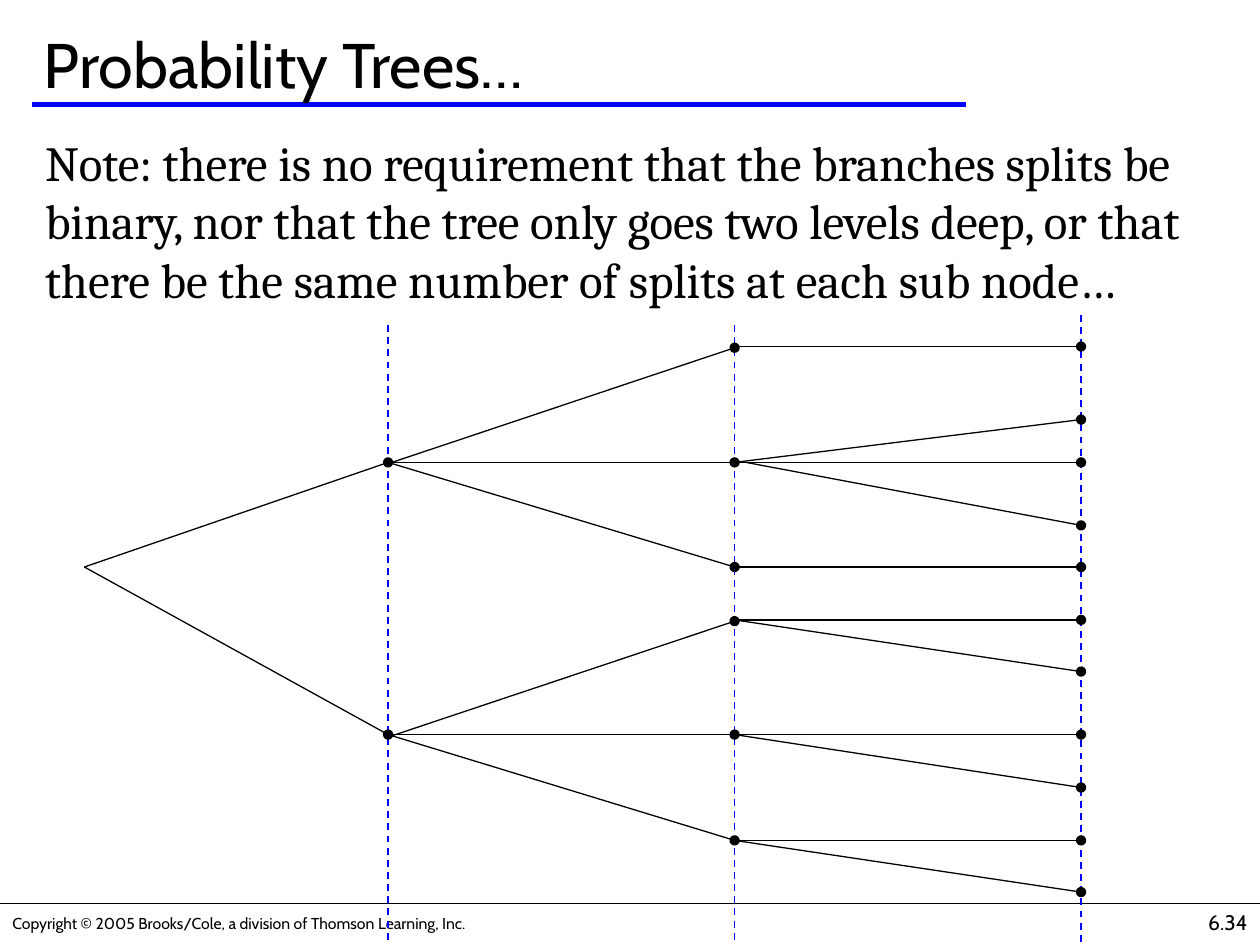
from lxml import etree
from pptx import Presentation
from pptx.dml.color import RGBColor
from pptx.enum.dml import MSO_LINE
from pptx.enum.shapes import MSO_CONNECTOR
from pptx.enum.text import MSO_ANCHOR, PP_ALIGN
from pptx.oxml.ns import qn
from pptx.util import Inches, Pt

STRAIGHT = MSO_CONNECTOR.STRAIGHT
DASH = MSO_LINE.DASH
TOP, MIDDLE = MSO_ANCHOR.TOP, MSO_ANCHOR.MIDDLE
LEFT, RIGHT = PP_ALIGN.LEFT, PP_ALIGN.RIGHT

BLACK, BLUE = "000000", "0000FF"
ROOT, FIRST, SECOND, THIRD = 0.67, 3.08, 5.83, 8.58

LEVELS = [
    (ROOT, FIRST, [(4.5, [3.67, 5.83])]),
    (FIRST, SECOND, [(3.68, [2.76]), (3.67, [3.67, 4.5]),
                     (5.85, [4.93]), (5.83, [5.83, 6.67])]),
    (SECOND, THIRD, [(2.75, [2.75]), (3.67, [3.33, 3.67]), (4.5, [4.5]),
                     (4.92, [4.92, 5.33]), (5.83, [5.83, 6.25]),
                     (6.67, [6.67, 7.08])]),
    (5.92, THIRD, [(3.67, [4.17])]),
]
DIVIDERS = [(FIRST, 2.58), (SECOND, 2.58), (THIRD, 2.5)]

NOTE = ("Note: there is no requirement that the branches splits be binary, "
        "nor that the tree only goes two levels deep, or that there be the "
        "same number of splits at each sub node…")
COPYRIGHT = "Copyright © 2005 Brooks/Cole, a division of Thomson Learning, Inc."


def color(value):
    return RGBColor.from_string(value)


def apply(target, values):
    for name, value in values.items():
        setattr(target, name, value)


def add_text(page, place, text, size, font="Cabin", anchor=TOP, align=LEFT):
    box = page.shapes.add_textbox(*map(Inches, place))
    apply(box.text_frame, {"word_wrap": True, "vertical_anchor": anchor})
    para = box.text_frame.paragraphs[0]
    para.alignment = align
    span = para.add_run()
    span.text = text
    apply(span.font, {"name": font, "size": Pt(size)})
    span.font.color.rgb = color(BLACK)


def add_line(page, start, end, line_color=BLACK, width=0.75, dash=None):
    connector = page.shapes.add_connector(STRAIGHT, *map(Inches, start + end))
    connector.line.color.rgb = color(line_color)
    apply(connector.line, {"width": Pt(width), "dash_style": dash})
    etree.SubElement(connector._element.spPr, qn("a:effectLst"))
    return connector


def add_branch(page, start, end):
    branch = add_line(page, start, end)
    outline = branch.line._get_or_add_ln()
    etree.SubElement(outline, qn("a:tailEnd"), type="oval")


def add_tree(page):
    for x, top in DIVIDERS:
        add_line(page, (x, top), (x, 7.5), BLUE, 1, DASH)
    for left, right, nodes in LEVELS:
        for parent, children in nodes:
            for child in children:
                add_branch(page, (left, parent), (right, child))


def main():
    deck = Presentation()
    apply(deck, {"slide_width": Inches(10), "slide_height": Inches(7.5)})
    page = deck.slides.add_slide(deck.slide_layouts[6])
    add_text(page, (0, 7.2, 4.78, 0.25), COPYRIGHT, 9, anchor=MIDDLE)
    add_line(page, (0, 7.17), (10, 7.17))
    add_line(page, (0.25, 0.83), (7.67, 0.83), BLUE, 2.5)
    add_text(page, (7.92, 7.17, 2.08, 0.33), "6.34", 12, align=RIGHT)
    add_text(page, (0.25, 0.17, 9.58, 0.67), "Probability Trees…", 36, anchor=MIDDLE)
    add_text(page, (0.26, 1, 9.74, 6), NOTE, 28, font="Cambria")
    add_tree(page)
    deck.save("out.pptx")


if __name__ == "__main__":
    main()
